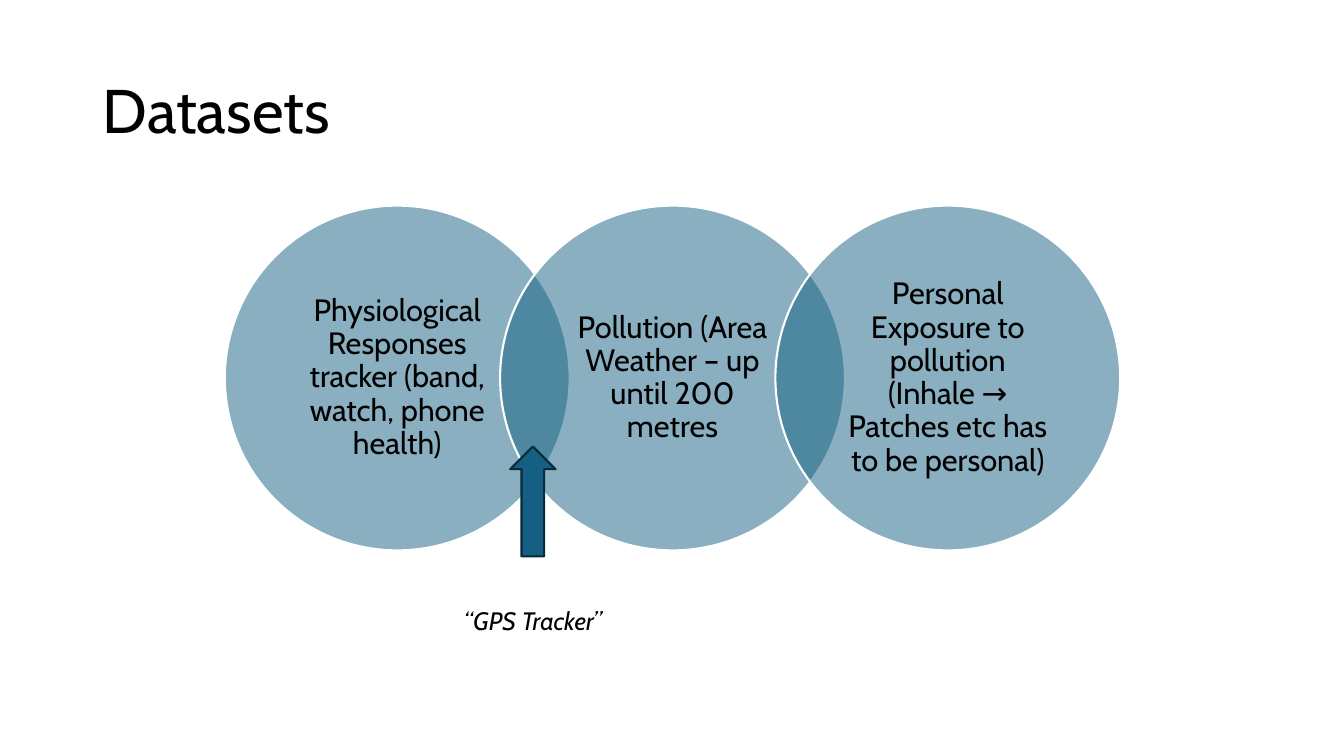
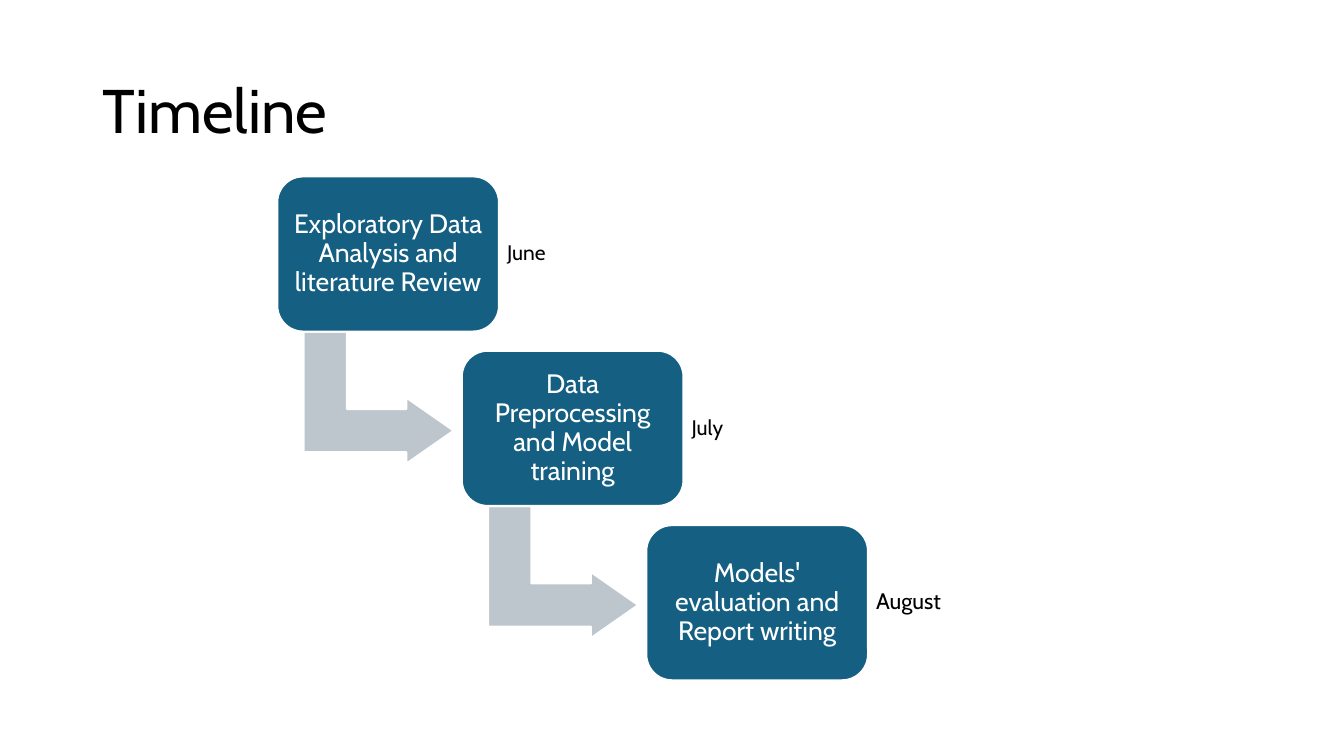
"""Build the Datasets and Timeline slides."""
from dataclasses import dataclass

from lxml.etree import SubElement
from pptx import Presentation
from pptx.dml.color import RGBColor
from pptx.enum.shapes import MSO_SHAPE
from pptx.enum.text import MSO_ANCHOR, MSO_AUTO_SIZE, PP_ALIGN
from pptx.oxml.ns import qn
from pptx.util import Inches, Pt

DATASETS = [
    "Physiological Responses tracker (band, watch, phone health)",
    "Pollution (Area Weather – up until 200 metres",
    "Personal Exposure to pollution (Inhale → Patches etc has to be personal)",
]
OVERLAP_LABEL = "“GPS Tracker”"
STAGES = [
    ("Exploratory Data Analysis and literature Review", "June", 15),
    ("Data Preprocessing and Model training", "July", 15),
    ("Models' evaluation and Report writing", "August", 16),
]


@dataclass(frozen=True)
class Theme:
    font: str = "Cabin"
    ink: str = "000000"
    paper: str = "FFFFFF"
    teal: str = "156082"
    dark_teal: str = "092A39"
    grey: str = "BDC5CD"
    outline: float = 1.5
    title_size: int = 44
    circle_size: int = 22
    stage_size: int = 19
    label_size: int = 18
    tight: float = 0.9


THEME = Theme()
SLIDE_SIZE = (13.33, 7.5)
TITLE_AREA = (0.92, 0.4, 11.5, 1.45)
CIRCLE = {"left": 2.23, "top": 2.04, "size": 3.42, "pitch": 2.73}
STAGE = {"left": 2.75, "top": 1.75, "width": 2.2, "height": 1.54}
STAGE_PITCH = (1.83, 1.73)
BEND = {"left": 0.35, "top": 1.45, "width": 1.31, "height": 1.49}
BEND_ADJUSTMENTS = (0.328, 0.25, 0.358)


def rgb(code):
    return RGBColor.from_string(code)


def write(box, text, size, color=THEME.ink, align=PP_ALIGN.CENTER,
          anchor=MSO_ANCHOR.MIDDLE, spacing=THEME.tight, inset=(0.1, 0.05), italic=None):
    frame = box.text_frame
    side, end = map(Inches, inset)
    frame_format = {
        "word_wrap": True, "auto_size": MSO_AUTO_SIZE.NONE, "vertical_anchor": anchor,
        "margin_left": side, "margin_right": side, "margin_top": end, "margin_bottom": end,
    }
    para = frame.paragraphs[0]
    span = para.add_run()
    span.text = text
    formats = [
        (frame, frame_format),
        (para, {"alignment": align, "line_spacing": spacing}),
        (span.font, {"name": THEME.font, "size": Pt(size), "italic": italic}),
    ]
    for target, values in formats:
        for name, value in values.items():
            setattr(target, name, value)
    span.font.color.rgb = rgb(color)


def add_figure(page, kind, area, fill, line=THEME.paper, opacity=None):
    figure = page.shapes.add_shape(kind, *map(Inches, area))
    figure.shadow.inherit = False
    figure.fill.solid()
    figure.fill.fore_color.rgb = rgb(fill)
    figure.line.color.rgb = rgb(line)
    figure.line.width = Pt(THEME.outline)
    if opacity is not None:
        color = figure.fill._xPr.find(qn("a:solidFill")).find(qn("a:srgbClr"))
        SubElement(color, qn("a:alpha")).set("val", str(round(opacity * 100000)))
    return figure


def add_label(page, area, text, size, **options):
    write(page.shapes.add_textbox(*map(Inches, area)), text, size, **options)


def add_page(deck, title):
    page = deck.slides.add_slide(deck.slide_layouts[5])
    heading = page.shapes.title
    heading.left, heading.top, heading.width, heading.height = map(Inches, TITLE_AREA)
    write(heading, title, THEME.title_size, align=PP_ALIGN.LEFT)
    return page


def build_datasets(deck):
    page = add_page(deck, "Datasets")
    size = CIRCLE["size"]
    for index, text in enumerate(DATASETS):
        left = CIRCLE["left"] + index * CIRCLE["pitch"]
        circle = add_figure(page, MSO_SHAPE.OVAL, (left, CIRCLE["top"], size, size),
                            THEME.teal, opacity=0.5)
        write(circle, text, THEME.circle_size, inset=(0.19, 0.03))
    add_figure(page, MSO_SHAPE.UP_ARROW, (5.06, 4.43, 0.45, 1.09),
               THEME.teal, THEME.dark_teal)
    add_label(page, (3.96, 5.96, 2.65, 0.4), OVERLAP_LABEL, THEME.label_size,
              anchor=MSO_ANCHOR.TOP, spacing=1.0, italic=True)


def build_timeline(deck):
    page = add_page(deck, "Timeline")
    width, height = STAGE["width"], STAGE["height"]
    for index, (text, month, month_size) in enumerate(STAGES):
        left = STAGE["left"] + index * STAGE_PITCH[0]
        top = STAGE["top"] + index * STAGE_PITCH[1]
        if index < len(STAGES) - 1:
            area = (left + BEND["left"], top + BEND["top"], BEND["width"], BEND["height"])
            bend = add_figure(page, MSO_SHAPE.BENT_UP_ARROW, area, THEME.grey)
            bend.rotation = 90
            for position, value in enumerate(BEND_ADJUSTMENTS):
                bend.adjustments[position] = value
        stage = add_figure(page, MSO_SHAPE.ROUNDED_RECTANGLE,
                           (left, top, width, height), THEME.teal)
        write(stage, text, THEME.stage_size, THEME.paper, inset=(0.08, 0.08))
        add_label(page, (left + width, top + 0.15, 1.6, 1.24), month, month_size,
                  align=PP_ALIGN.LEFT, inset=(0.08, 0.08))


def main():
    deck = Presentation()
    deck.slide_width, deck.slide_height = map(Inches, SLIDE_SIZE)
    build_datasets(deck)
    build_timeline(deck)
    deck.save("out.pptx")


if __name__ == "__main__":
    main()
